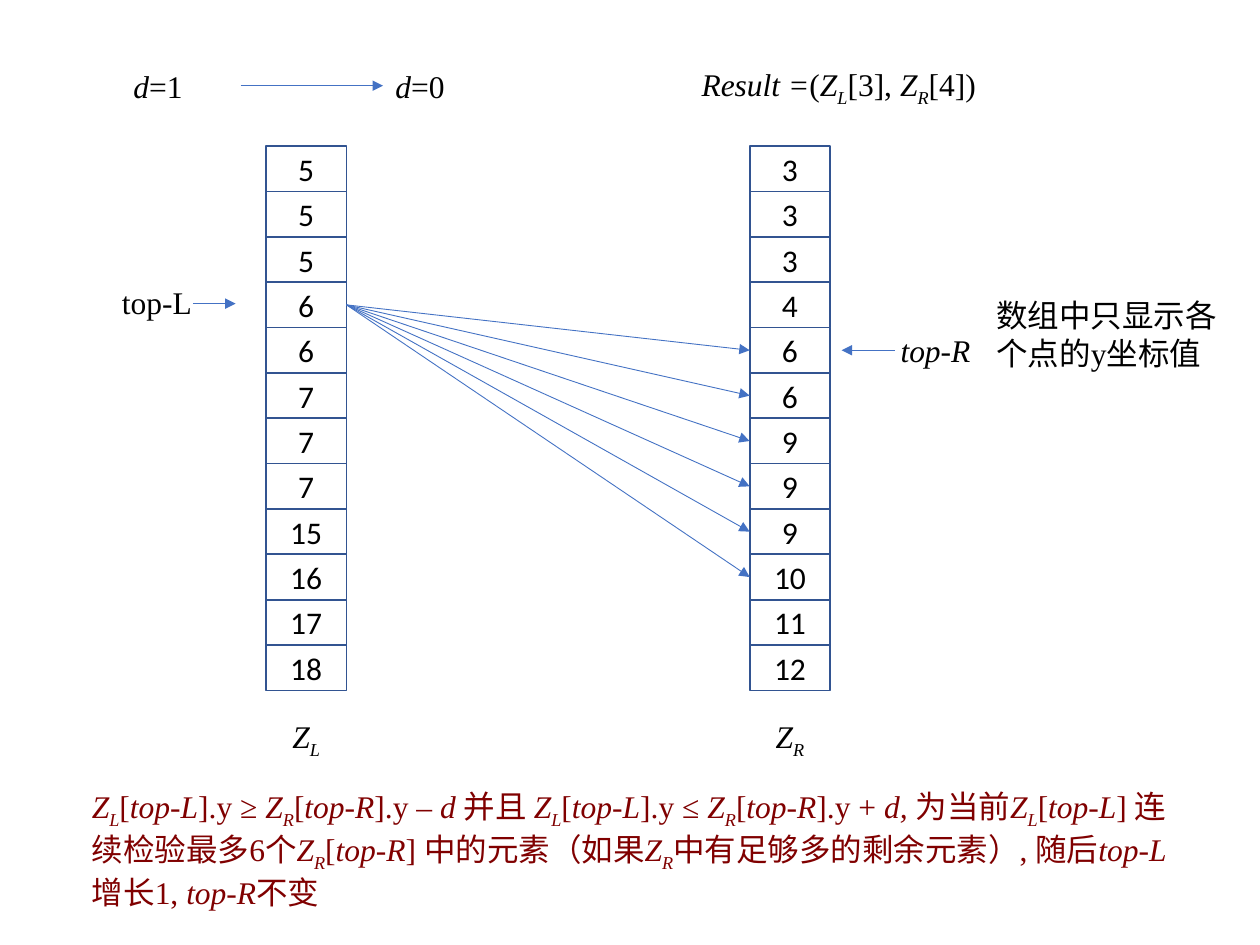
from dataclasses import dataclass

from lxml.etree import SubElement
from pptx import Presentation
from pptx.dml.color import RGBColor
from pptx.enum.shapes import MSO_CONNECTOR as Connector, MSO_SHAPE as Preset
from pptx.enum.text import MSO_ANCHOR as Anchor, PP_ALIGN as Align
from pptx.oxml.ns import qn
from pptx.util import Pt

PX = 9144
COLORS = {"text": "000000", "rule": "800000", "border": "325491", "arrow": "4472C4"}
SERIF, SANS = "Times New Roman", "Calibri"
CELL_WIDTH, CELL_HEIGHT, COLUMN_TOP = 64, 36, 116
LABEL_TOP = 564
TOP_L, TOP_R, CHECKED = 3, 4, 6


@dataclass
class Column:
    left: int
    values: list[int]
    label: str


@dataclass
class Label:
    left: int
    top: int
    width: int
    height: int
    text: str
    align: Align = Align.LEFT
    color: str = "text"


@dataclass
class Arrow:
    x1: int
    y1: int
    x2: int
    y2: int


COLUMNS = [
    Column(211, [5, 5, 5, 6, 6, 7, 7, 7, 15, 16, 17, 18], "*Z~L~*"),
    Column(595, [3, 3, 3, 4, 6, 6, 9, 9, 9, 10, 11, 12], "*Z~R~*"),
]

RULE = (
    "*Z~L~*[*top-L*].y ≥ *Z~R~*[*top-R*].y – *d *并且 "
    "*Z~L~*[*top-L*].y ≤ *Z~R~*[*top-R*].y + *d, *为当前*Z~L~*[*top-L*] "
    "连续检验最多6个*Z~R~*[*top-R*] 中的元素（如果*Z~R~*中有足够多的剩余元素）, "
    "随后*top-L*增长1, *top-R*不变"
)

LABELS = [
    Label(77, 220, 95, 40, "top-L", Align.CENTER),
    Label(695, 258, 95, 40, "*top-R*", Align.CENTER),
    Label(96, 48, 95, 40, "*d*=1"),
    Label(304, 48, 95, 40, "*d*=0"),
    Label(547, 47, 320, 40, "*Result =*(*Z~L~*[3], *Z~R~*[4])"),
    Label(781, 230, 198, 71, "数组中只显示各个点的y坐标值"),
    Label(63, 620, 892, 101, RULE, color="rule"),
]

ARROWS = [
    Arrow(153, 241, 187, 241),
    Arrow(710, 278, 668, 278),
    Arrow(191, 68, 304, 68),
]


def rgb(name: str) -> RGBColor:
    return RGBColor.from_string(COLORS[name])


def write_text(frame, text: str, *, font=SERIF, color="text", align=Align.LEFT) -> None:
    """Write text in which *…* is italic and ~…~ is subscript."""
    frame.word_wrap = True
    para = frame.paragraphs[0]
    para.alignment = align
    for i, italic_part in enumerate(text.split("*")):
        for j, part in enumerate(italic_part.split("~")):
            if not part:
                continue
            span = para.add_run()
            span.text = part
            span.font.name = font
            span.font.size = Pt(18)
            span.font.italic = i % 2 == 1
            span.font.color.rgb = rgb(color)
            if j % 2:
                span.font._element.set("baseline", "-25000")


def draw_label(page, label: Label) -> None:
    box = page.shapes.add_textbox(
        label.left * PX, label.top * PX, label.width * PX, label.height * PX
    )
    write_text(box.text_frame, label.text, color=label.color, align=label.align)


def draw_column(page, column: Column) -> list:
    cells = []
    for row, value in enumerate(column.values):
        cell = page.shapes.add_shape(
            Preset.RECTANGLE,
            column.left * PX,
            (COLUMN_TOP + row * CELL_HEIGHT) * PX,
            CELL_WIDTH * PX,
            CELL_HEIGHT * PX,
        )
        cell.shadow.inherit = False
        cell.fill.background()
        cell.line.color.rgb = rgb("border")
        cell.line.width = Pt(1)
        cell.text_frame.vertical_anchor = Anchor.MIDDLE
        write_text(cell.text_frame, str(value), font=SANS, align=Align.CENTER)
        cells.append(cell)
    draw_label(
        page, Label(column.left, LABEL_TOP, CELL_WIDTH, 40, column.label, Align.CENTER)
    )
    return cells


def draw_arrow(page, arrow: Arrow):
    line = page.shapes.add_connector(
        Connector.STRAIGHT, arrow.x1 * PX, arrow.y1 * PX, arrow.x2 * PX, arrow.y2 * PX
    )
    line.line.color.rgb = rgb("arrow")
    line.line.width = Pt(0.5)
    SubElement(line.line._get_or_add_ln(), qn("a:tailEnd"), type="triangle")
    SubElement(line._element.spPr, qn("a:effectLst"))
    return line


def join_cells(page, start, end) -> None:
    line = draw_arrow(page, Arrow(0, 0, 0, 0))
    line.begin_connect(start, 3)
    line.end_connect(end, 1)


def main() -> None:
    deck = Presentation()
    deck.slide_width, deck.slide_height = 1000 * PX, 750 * PX
    page = deck.slides.add_slide(deck.slide_layouts[6])
    left_cells, right_cells = [draw_column(page, column) for column in COLUMNS]
    for arrow in ARROWS:
        draw_arrow(page, arrow)
    for label in LABELS:
        draw_label(page, label)
    for cell in right_cells[TOP_R:TOP_R + CHECKED]:
        join_cells(page, left_cells[TOP_L], cell)
    deck.save("out.pptx")


if __name__ == "__main__":
    main()
